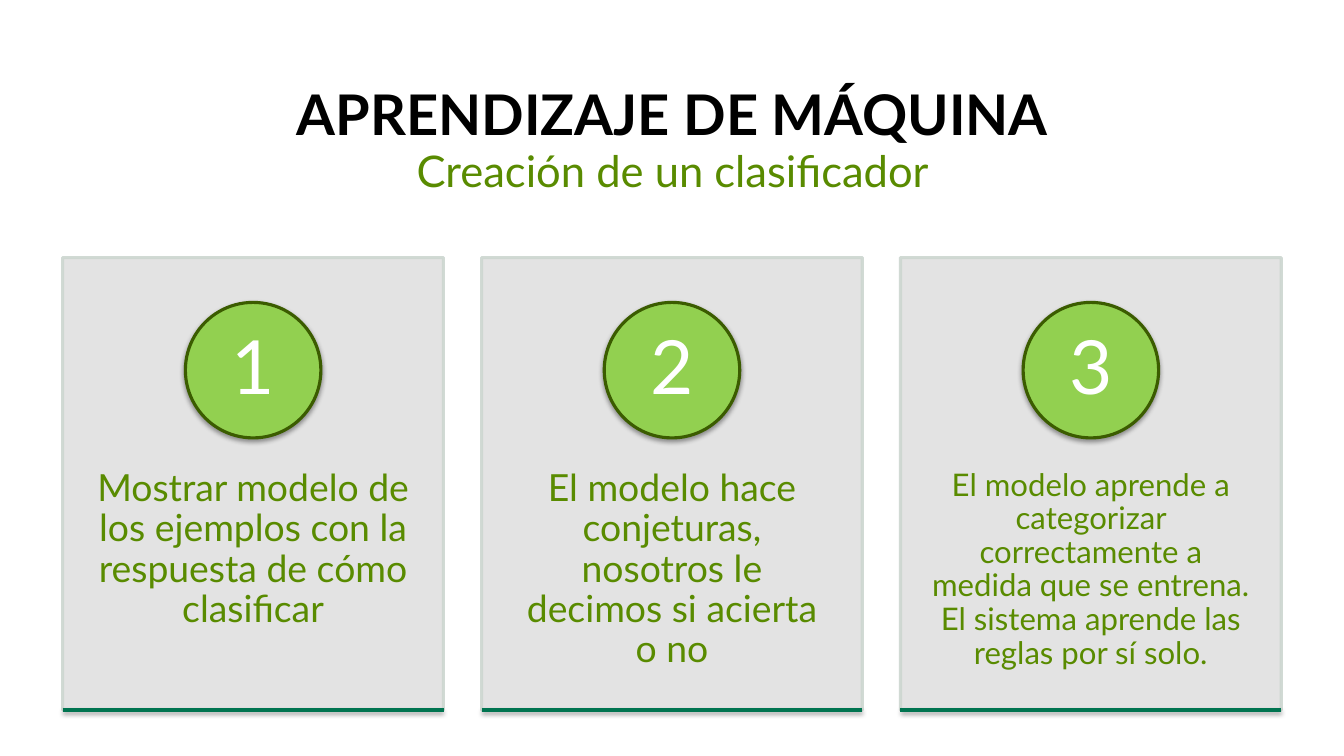
from dataclasses import dataclass
from lxml import etree
from pptx import Presentation
from pptx.dml.color import RGBColor
from pptx.enum.shapes import MSO_CONNECTOR, MSO_SHAPE
from pptx.enum.text import MSO_ANCHOR, PP_ALIGN
from pptx.oxml.ns import qn
from pptx.util import Inches, Pt

RECT, OVAL = MSO_SHAPE.RECTANGLE, MSO_SHAPE.OVAL
LINE = MSO_CONNECTOR.STRAIGHT
TOP, MID, BOTTOM = MSO_ANCHOR.TOP, MSO_ANCHOR.MIDDLE, MSO_ANCHOR.BOTTOM
CENTER = PP_ALIGN.CENTER


@dataclass(frozen=True)
class Theme:
    font: str = "Lato"
    black: str = "000000"
    white: str = "FFFFFF"
    green: str = "598B00"
    card: str = "E1E1E1"
    edge: str = "CCD6D0"
    disc: str = "92D050"
    ring: str = "3B5C00"
    base: str = "007450"
    title: int = 36
    sub: int = 28
    num: int = 48
    body: int = 24
    small: int = 20
    stroke: int = 2


T = Theme()
rgb = RGBColor.from_string

prs = Presentation()
prs.slide_width, prs.slide_height = Inches(12), Inches(6.75)
slide = prs.slides.add_slide(prs.slide_layouts[6])
shapes = slide.shapes


def add_text(text, box, size, color, bold=False, anchor=TOP, pad=(0.1, 0.05)):
    """Add centred text; box is left, top, width, height and pad is x, y."""
    frame = shapes.add_textbox(*map(Inches, box)).text_frame
    frame.word_wrap = True
    frame.vertical_anchor = anchor
    frame.margin_left = frame.margin_right = Inches(pad[0])
    frame.margin_top = frame.margin_bottom = Inches(pad[1])
    para = frame.paragraphs[0]
    para.text = text
    para.alignment = CENTER
    para.line_spacing = 0.9
    font = para.font
    font.name, font.size, font.bold = T.font, Pt(size), bold
    font.color.rgb = rgb(color)


def add_shadow(shape):
    effects = etree.SubElement(shape._element.spPr, qn("a:effectLst"))
    shadow = etree.SubElement(effects, qn("a:outerShdw"), blurRad=str(Pt(3.1)),
                              dist=str(Pt(1.6)), dir="5400000", rotWithShape="0")
    color = etree.SubElement(shadow, qn("a:srgbClr"), val=T.black)
    etree.SubElement(color, qn("a:alpha"), val="38000")


add_text("APRENDIZAJE DE MÁQUINA", (0.55, 0.72, 10.91, 0.65), T.title, T.black,
         bold=True, anchor=BOTTOM)
add_text("Creación de un clasificador", (0.55, 1.29, 10.91, 0.57), T.sub, T.green)

steps = [
    ("Mostrar modelo de los ejemplos con la respuesta de cómo clasificar", T.body),
    ("El modelo hace conjeturas, nosotros le decimos si acierta o no", T.body),
    ("El modelo aprende a categorizar correctamente a medida que se entrena. "
     "El sistema aprende las reglas por sí solo.", T.small),
]
left, top, wide, high, step = 0.56, 2.3, 3.4, 4.04, 3.74
size, inner = 1.21, 0.86

for i, (text, points) in enumerate(steps):
    x = left + i * step
    mid = x + wide / 2

    card = shapes.add_shape(RECT, *map(Inches, (x, top, wide, high)))
    card.shadow.inherit = False
    card.fill.solid()
    card.fill.fore_color.rgb = rgb(T.card)
    card.line.color.rgb = rgb(T.edge)
    card.line.width = Pt(T.stroke)
    for color in card._element.spPr.iter(qn("a:srgbClr")):
        etree.SubElement(color, qn("a:alpha"), val="90000")

    add_text(text, (x, 3.83, wide, 2.42), points, T.green, pad=(0.27, 0.36))

    disc = shapes.add_shape(OVAL, *map(Inches, (mid - size / 2, 2.7, size, size)))
    disc.fill.solid()
    disc.fill.fore_color.rgb = rgb(T.disc)
    disc.line.color.rgb = rgb(T.ring)
    disc.line.width = Pt(T.stroke)
    add_shadow(disc)

    add_text(str(i + 1), (mid - inner / 2, 2.88, inner, inner), T.num, T.white,
             anchor=MID, pad=(0.09, 0.01))

    base = shapes.add_connector(
        LINE, *map(Inches, (x, top + high, x + wide, top + high)))
    base.line.color.rgb = rgb(T.base)
    base.line.width = Pt(T.stroke)
    add_shadow(base)

prs.save("out.pptx")
